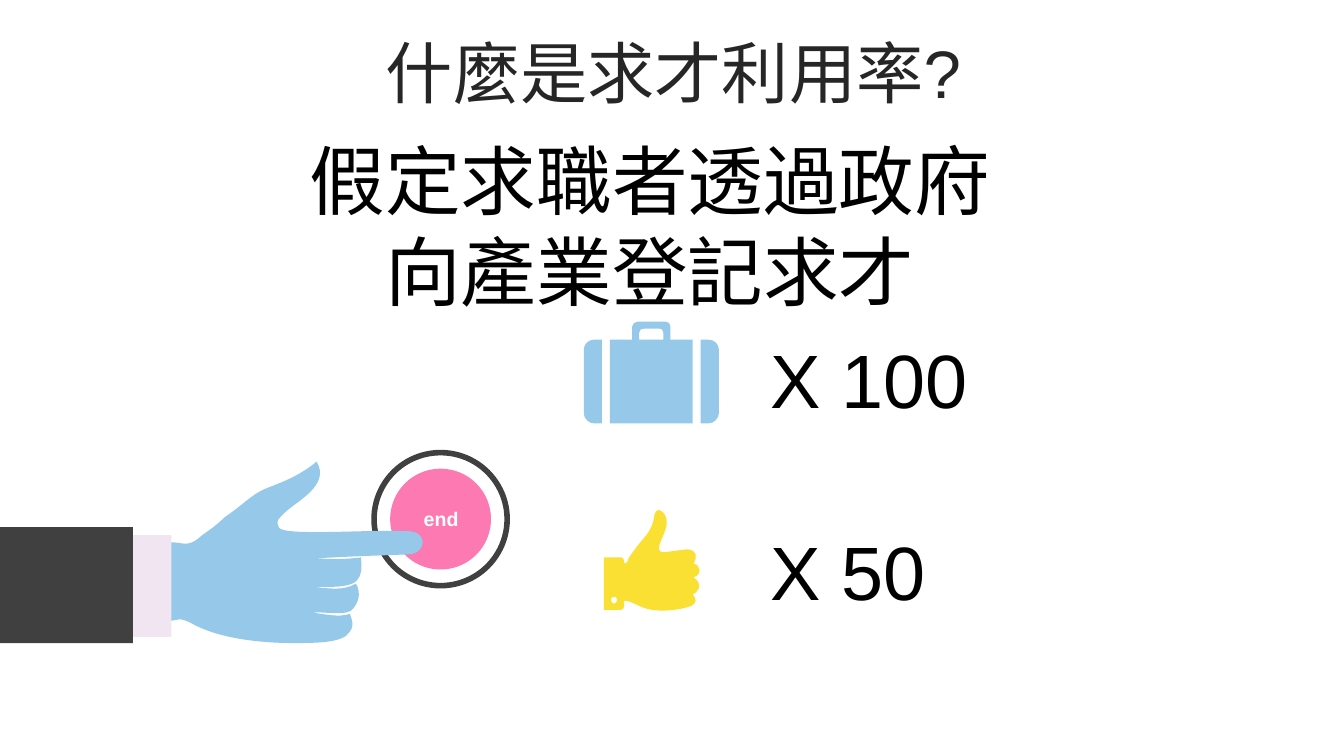
from itertools import islice

from pptx import Presentation
from pptx.dml.color import RGBColor
from pptx.enum.shapes import MSO_SHAPE
from pptx.enum.text import MSO_ANCHOR, PP_ALIGN
from pptx.oxml.ns import qn
from pptx.oxml.xmlchemy import OxmlElement
from pptx.util import Inches, Pt

COLORS = {"white": "FFFFFF", "black": "000000", "ink": "262626", "dark": "404040",
          "pink": "FC79B2", "blue": "96C8E9", "cuff": "F0E5F0", "yellow": "FBE034"}

TITLE = ((0.35, 0.37, 12.66, 0.79), ["什麼是求才利用率?"], 48, "ink")
END = ((3.89, 4.98, 0.97, 0.34), ["end"], 14, "white")
LEAD = ((1.55, 1.28, 9.79, 1.92), ["假定求職者透過政府", "向產業登記求才"], 54, "black")
COUNTS = [((7.53, 3.25, 2.18, 1.01), ["X 100"], 54, "black"),
          ((7.53, 5.16, 1.76, 1.01), ["X 50"], 54, "black")]

RING = (MSO_SHAPE.OVAL, (3.71, 4.49, 1.32, 1.32), "white")
BUTTON = (MSO_SHAPE.OVAL, (3.87, 4.65, 1, 1), "pink")
CUFF = (MSO_SHAPE.RECTANGLE, (1.08, 5.31, 0.62, 1.01), "cuff")
SLEEVE = (MSO_SHAPE.RECTANGLE, (-0.44, 5.23, 1.76, 1.15), "dark")

HAND = """
M 3.14 4.58 C 2.96 4.73 2.78 4.79 2.63 4.85 C 2.49 4.91 2.41 5.01 2.23 5.13
C 2.11 5.25 2.02 5.29 1.97 5.34 C 1.86 5.43 1.81 5.38 1.69 5.38 L 1.69 6.16
C 1.77 6.15 1.78 6.12 1.91 6.19 C 2.26 6.38 2.8 6.38 2.93 6.38
C 3.18 6.38 3.34 6.37 3.43 6.31 C 3.51 6.23 3.51 6.2 3.47 6.09
C 3.36 6.13 3.21 6.09 3.11 6.08 C 3.12 6.06 3.41 6.11 3.48 6.06
C 3.55 6 3.59 5.89 3.53 5.79 C 3.4 5.87 3.25 5.83 3.14 5.83
C 3.15 5.81 3.42 5.85 3.53 5.77 C 3.59 5.7 3.59 5.66 3.58 5.53
C 3.42 5.55 3.33 5.55 3.13 5.54 C 3.66 5.51 3.86 5.51 4.05 5.5
C 4.23 5.5 4.27 5.25 4 5.27 C 3.74 5.25 2.85 5.32 2.77 5.24
C 2.74 5.17 2.74 5.17 2.83 5.08 C 2.95 4.97 3.28 4.81 3.14 4.58"""

CASE = """
M 6.95 3.37 L 7.03 3.37 C 7.08 3.37 7.13 3.41 7.13 3.47 L 7.13 4.1
C 7.13 4.15 7.08 4.2 7.03 4.2 L 6.95 4.2
M 5.89 3.37 L 5.97 3.37 L 5.97 4.2 L 5.89 4.2 C 5.84 4.2 5.79 4.15 5.79 4.1
L 5.79 3.47 C 5.79 3.41 5.84 3.37 5.89 3.37
M 6.39 3.26 C 6.36 3.26 6.34 3.27 6.34 3.3 L 6.34 3.37 L 6.58 3.37 L 6.58 3.3
C 6.58 3.27 6.56 3.26 6.54 3.26
M 6.33 3.19 L 6.6 3.19 C 6.63 3.19 6.65 3.21 6.65 3.24 L 6.65 3.37 L 6.87 3.37
L 6.87 4.2 L 6.05 4.2 L 6.05 3.37 L 6.27 3.37 L 6.27 3.24
C 6.27 3.21 6.3 3.19 6.33 3.19"""

THUMB = """
M 6.09 5.92 C 6.07 5.92 6.06 5.93 6.06 5.95 C 6.06 5.97 6.07 5.99 6.09 5.99
C 6.11 5.99 6.12 5.97 6.12 5.95 C 6.12 5.93 6.11 5.92 6.09 5.92
M 6.53 5.06 C 6.56 5.06 6.6 5.1 6.61 5.15 C 6.64 5.28 6.45 5.47 6.58 5.48
C 6.67 5.47 6.72 5.46 6.82 5.45 C 6.91 5.46 6.92 5.52 6.88 5.59
C 6.93 5.59 6.98 5.69 6.88 5.73 C 6.98 5.8 6.92 5.88 6.87 5.9
C 6.91 5.94 6.91 5.98 6.86 6.01 C 6.76 6.05 6.51 6.09 6.36 6.02
C 6.29 5.99 6.24 5.96 6.19 5.96 L 6.19 6.01 C 6.19 6.03 6.18 6.05 6.16 6.05
L 5.99 6.05 L 5.99 5.53 L 6.16 5.53 C 6.18 5.53 6.19 5.55 6.19 5.57 L 6.19 5.59
C 6.2 5.59 6.21 5.59 6.22 5.58 C 6.23 5.54 6.25 5.51 6.29 5.46
C 6.36 5.35 6.47 5.29 6.49 5.11 C 6.5 5.08 6.51 5.06 6.53 5.06"""

UNITS = 100


def color(name):
    return RGBColor.from_string(COLORS[name])


def paint(shape, fill):
    shape.shadow.inherit = False
    shape.fill.solid()
    shape.fill.fore_color.rgb = color(fill)
    shape.line.fill.background()
    return shape


def add_form(slide, kind, box, fill):
    return paint(slide.shapes.add_shape(kind, *map(Inches, box)), fill)


def add_text(slide, box, lines, size, ink, wrap=True, anchor=MSO_ANCHOR.TOP):
    shape = slide.shapes.add_textbox(*map(Inches, box))
    frame = shape.text_frame
    frame.word_wrap = wrap
    frame.vertical_anchor = anchor
    frame.text = "\n".join(lines)
    for para in frame.paragraphs:
        para.alignment = PP_ALIGN.CENTER
        font = para.runs[0].font
        font.name, font.size, font.color.rgb = "Arial", Pt(size), color(ink)
    return frame.paragraphs


def trace(outline):
    loops, kinds = [], []
    for row in outline.replace("M", "|M").replace("C", "|C").replace("L", "|L").split("|")[1:]:
        kind, *nums = row.split()
        nums = [round(float(n) * UNITS) for n in nums]
        spots = list(zip(nums[::2], nums[1::2]))
        if kind == "M":
            loops.append(spots)
        else:
            loops[-1] += spots
            kinds.append(kind)
    return loops, kinds


def curve(shape, kinds):
    lines = iter(list(shape.element.iter(qn("a:lnTo"))))
    for kind in kinds:
        if kind == "L":
            next(lines)
            continue
        trio = list(islice(lines, 3))
        arc = OxmlElement("a:cubicBezTo")
        trio[0].addprevious(arc)
        for line in trio:
            arc.append(line[0])
            line.getparent().remove(line)


def add_outline(slide, outline, fill):
    (first, *rest), kinds = trace(outline)
    form = slide.shapes.build_freeform(*first[0], scale=Inches(1) / UNITS)
    form.add_line_segments(first[1:], close=True)
    for loop in rest:
        form.move_to(*loop[0])
        form.add_line_segments(loop[1:], close=True)
    curve(paint(form.convert_to_shape(), fill), kinds)


def main():
    deck = Presentation()
    deck.slide_width, deck.slide_height = Inches(13.33), Inches(7.5)
    slide = deck.slides.add_slide(deck.slide_layouts[6])

    title = add_text(slide, *TITLE, anchor=MSO_ANCHOR.MIDDLE)[0]
    title.line_spacing, title.space_before = 0.9, Pt(10)

    ring = add_form(slide, *RING)
    ring.line.color.rgb, ring.line.width = color("dark"), Pt(4)
    add_form(slide, *BUTTON)
    add_text(slide, *END, anchor=MSO_ANCHOR.MIDDLE)[0].runs[0].font.bold = True
    add_outline(slide, HAND, "blue")
    add_form(slide, *CUFF)
    add_form(slide, *SLEEVE)

    add_text(slide, *LEAD)
    add_outline(slide, CASE, "blue")
    for count in COUNTS:
        add_text(slide, *count, wrap=False)
    add_outline(slide, THUMB, "yellow")
    deck.save("out.pptx")


if __name__ == "__main__":
    main()
